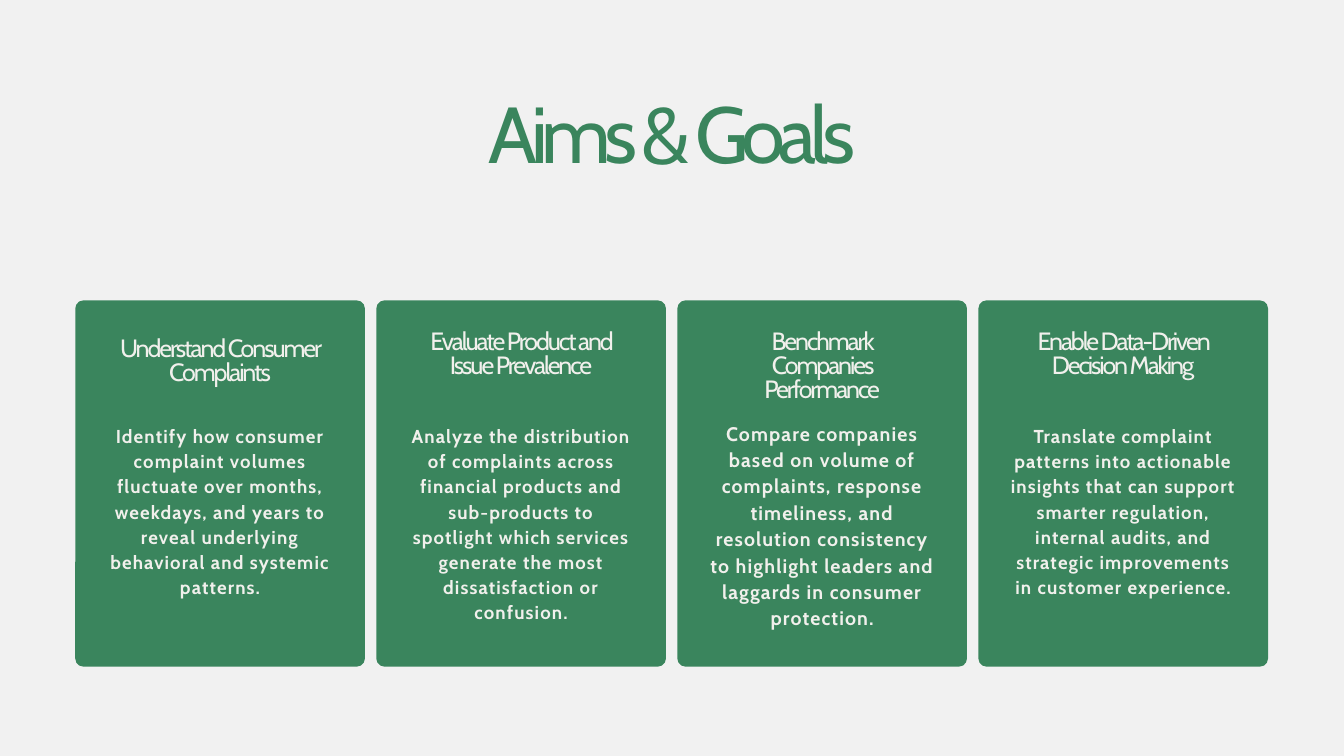
import dataclasses

import pptx
import pptx.dml.color
import pptx.enum.shapes
import pptx.enum.text
import pptx.util

Inches = pptx.util.Inches
Pt = pptx.util.Pt

COLORS = {"background": "F1F1F1", "green": "3A855D", "cream": "F1F0EC"}
FONT = "Cabin"

CARD_LEFT, CARD_TOP = 1.12, 4.47
CARD_WIDTH, CARD_HEIGHT = 4.31, 5.45
CARD_PITCH = 4.48
CORNER_RADIUS = 0.12
BODY_WIDTH = 3.41


@dataclasses.dataclass(frozen=True)
class TextStyle:
    size: float
    line_spacing: float
    letter_spacing: float
    color: str
    bold: bool = False


@dataclasses.dataclass(frozen=True)
class Card:
    heading: str
    body: str
    heading_top: float = 4.93
    heading_width: float = 2.84
    heading_height: float = 1.09
    body_top: float = 6.28
    body_height: float = 3.65
    body_size: float = 20
    body_line_spacing: float = 27


TITLE_STYLE = TextStyle(85, 81.6, -7, "green")
HEADING_STYLE = TextStyle(26.8, 25.7, -2.2, "cream")

CARDS = [
    Card(
        "Understand Consumer Complaints",
        "Identify how consumer complaint volumes fluctuate over months, weekdays, "
        "and years to reveal underlying behavioral and systemic patterns.",
        heading_top=5.03,
        heading_width=3.41,
        heading_height=1.25,
        body_height=2.92,
    ),
    Card(
        "Evaluate Product and Issue Prevalence",
        "Analyze the distribution of complaints across financial products and "
        "sub-products to spotlight which services generate the most "
        "dissatisfaction or confusion.",
        heading_height=1.44,
    ),
    Card(
        "Benchmark Companies Performance",
        "Compare companies based on volume of complaints, response timeliness, "
        "and resolution consistency to highlight leaders and laggards in "
        "consumer protection.",
        heading_height=1.44,
        body_top=6.23,
        body_height=3.86,
        body_size=21,
        body_line_spacing=28.3,
    ),
    Card(
        "Enable Data-Driven Decision Making",
        "Translate complaint patterns into actionable insights that can support "
        "smarter regulation, internal audits, and strategic improvements in "
        "customer experience.",
    ),
]


def rgb(name: str) -> pptx.dml.color.RGBColor:
    return pptx.dml.color.RGBColor.from_string(COLORS[name])


def write_text(shape, text: str, style: TextStyle) -> None:
    """Fill a text shape with one centred paragraph."""
    frame = shape.text_frame
    frame.text = text
    frame.word_wrap = True
    frame.auto_size = pptx.enum.text.MSO_AUTO_SIZE.NONE
    frame.vertical_anchor = pptx.enum.text.MSO_ANCHOR.TOP
    frame.margin_left = frame.margin_right = 0
    frame.margin_top = frame.margin_bottom = 0
    paragraph = frame.paragraphs[0]
    paragraph.alignment = pptx.enum.text.PP_ALIGN.CENTER
    paragraph.line_spacing = Pt(style.line_spacing)
    for run in paragraph.runs:
        run.font.name = FONT
        run.font.size = Pt(style.size)
        run.font.bold = style.bold
        run.font.color.rgb = rgb(style.color)
        run.font._element.set("spc", str(round(style.letter_spacing * 100)))


def add_title(slide, text: str) -> None:
    title = slide.shapes.title
    title.left, title.top = Inches(5.12), Inches(1.53)
    title.width, title.height = Inches(9.76), Inches(1.2)
    write_text(title, text, TITLE_STYLE)


def add_centered_text(slide, center: float, top: float, width: float,
                      height: float, text: str, style: TextStyle) -> None:
    box = slide.shapes.add_textbox(
        Inches(center - width / 2), Inches(top), Inches(width), Inches(height))
    write_text(box, text, style)


def add_card(slide, card: Card, left: float) -> None:
    panel = slide.shapes.add_shape(
        pptx.enum.shapes.MSO_SHAPE.ROUNDED_RECTANGLE,
        Inches(left), Inches(CARD_TOP), Inches(CARD_WIDTH), Inches(CARD_HEIGHT))
    panel.adjustments[0] = CORNER_RADIUS / CARD_WIDTH
    panel.shadow.inherit = False
    panel.fill.solid()
    panel.fill.fore_color.rgb = rgb("green")
    panel.line.fill.background()

    center = left + CARD_WIDTH / 2
    body_style = TextStyle(card.body_size, card.body_line_spacing, 1.2, "cream", bold=True)
    add_centered_text(slide, center, card.body_top, BODY_WIDTH,
                      card.body_height, card.body, body_style)
    add_centered_text(slide, center, card.heading_top, card.heading_width,
                      card.heading_height, card.heading, HEADING_STYLE)


def main() -> None:
    presentation = pptx.Presentation()
    presentation.slide_width = Inches(20)
    presentation.slide_height = Inches(11.25)
    slide = presentation.slides.add_slide(presentation.slide_layouts[5])
    slide.background.fill.solid()
    slide.background.fill.fore_color.rgb = rgb("background")

    add_title(slide, "Aims & Goals")
    for index, card in enumerate(CARDS):
        add_card(slide, card, CARD_LEFT + index * CARD_PITCH)

    presentation.save("out.pptx")


if __name__ == "__main__":
    main()
